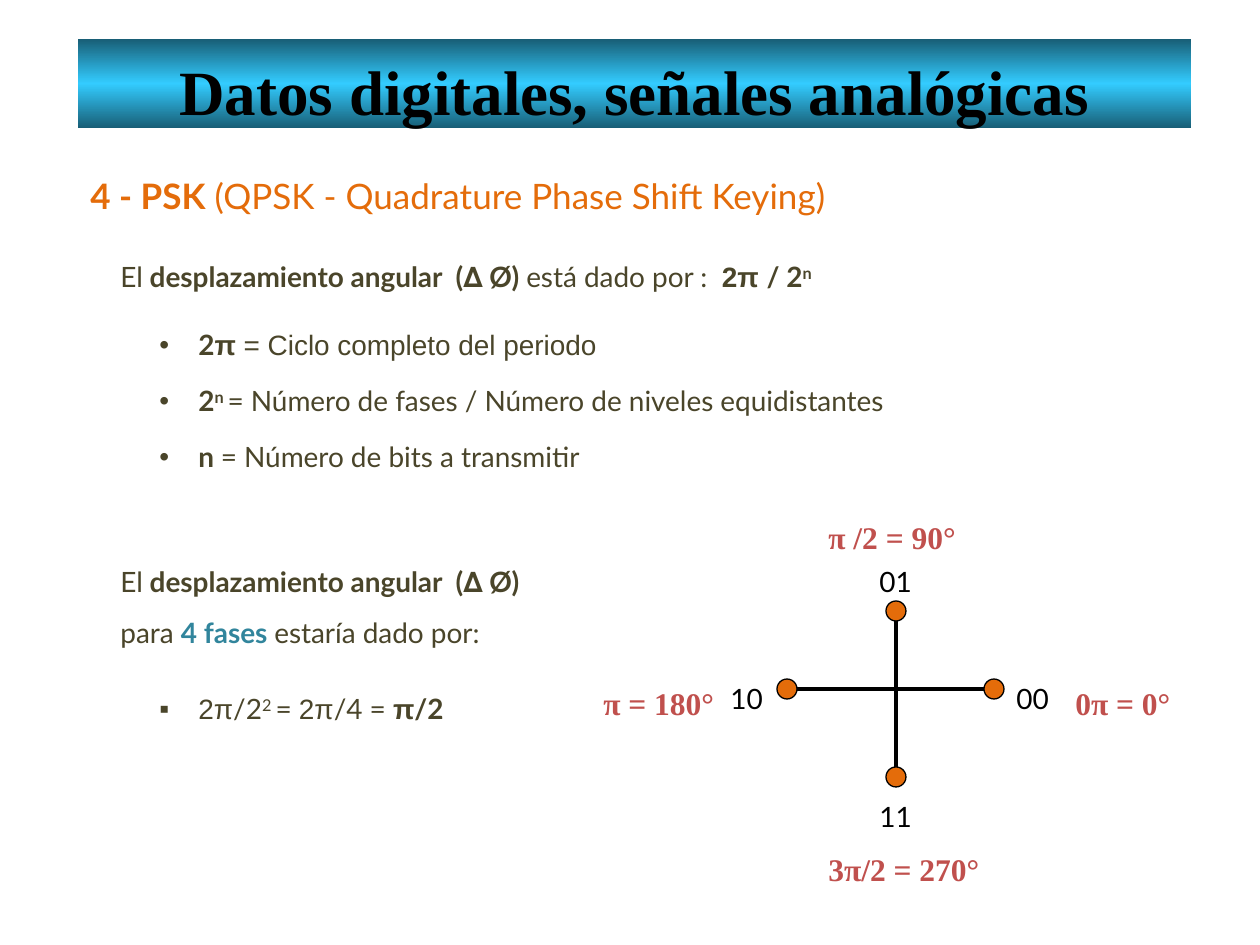
import copy

import pptx
import pptx.dml.color
import pptx.enum.dml
import pptx.enum.shapes
import pptx.enum.text
import pptx.oxml.ns
import pptx.util
from lxml import etree

PX = 914400 // 126
COLORS = {
    "edge": "185E76", "middle": "33CCFF", "black": "000000", "orange": "E46C0A",
    "olive": "4A452A", "teal": "31859C", "red": "C0504D",
}

TITLE = ("Datos digitales, señales analógicas", (78, 39, 1113, 89))

# span marks: b bold, a Arial, s superscript, t teal
TEXTS = [
    ((78, 147, 1023, 77), 20, "orange", None, [
        [("4 - PSK", "b"), (" (QPSK - Quadrature Phase Shift Keying)", "")],
    ]),
    ((108, 237, 867, 57), 16, "olive", None, [
        [("El", ""), (" desplazamiento angular  (∆ Ø) ", "b"), ("está dado por :  ", ""),
         ("2π ", "ab"), ("/ 2", "b"), ("n", "bs")],
    ]),
    ((147, 305, 886, 186), 16, "olive", "•", [
        [("2", "b"), ("π ", "ab"), ("= Ciclo completo del periodo", "a")],
        [("2", "b"), ("n ", "bs"), ("= Número de fases / Número de niveles equidistantes", "")],
        [("n ", "b"), ("= Número de bits a transmitir", "")],
    ]),
    ((108, 542, 473, 115), 16, "olive", None, [
        [("El", ""), (" desplazamiento angular  (∆ Ø)", "b"), (" para ", ""),
         ("4 fases ", "bt"), ("estaría dado por:", "")],
    ]),
    ((147, 669, 325, 69), 16, "olive", "▪", [
        [("2π", "a"), ("/2", ""), ("2 ", "s"), ("= ", ""), ("2π", "a"), ("/4 = ", ""),
         ("π", "ab"), ("/2", "b")],
    ]),
]

BITS = [("10", 718, 659), ("00", 1004, 659), ("01", 867, 542), ("11", 867, 777)]
ANGLES = [
    ("0π = 0°", 1063, 659, 129), ("π /2 = 90°", 816, 493, 158),
    ("π = 180°", 591, 659, 137), ("3π/2 = 270°", 816, 825, 186),
]
AXIS_X, AXIS_Y = 896, 689
LEFT, RIGHT, TOP, BOTTOM = 787, 994, 611, 777
RADIUS = 10


def color(name):
    return pptx.dml.color.RGBColor.from_string(COLORS[name])


def emu(*lengths):
    return [length * PX for length in lengths]


def add_bullet(para, mark):
    props = para._p.get_or_add_pPr()
    props.set("marL", str(39 * PX))
    props.set("indent", str(-39 * PX))
    for tag, key, value in (("a:buFont", "typeface", "Arial"), ("a:buChar", "char", mark)):
        etree.SubElement(props, pptx.oxml.ns.qn(tag)).set(key, value)


def add_text(page, place, size, ink, bullet, paragraphs, face="Lato", before=0):
    frame = page.shapes.add_textbox(*emu(*place)).text_frame
    frame.word_wrap = True
    for number, spans in enumerate(paragraphs):
        para = frame.add_paragraph() if number else frame.paragraphs[0]
        para.line_spacing = 1.5
        para.space_before = pptx.util.Pt(3.2 if bullet else before)
        if bullet:
            add_bullet(para, bullet)
        para.font.size = pptx.util.Pt(size)
        para.font.name = face
        para.font.color.rgb = color(ink)
        for text, marks in spans:
            span = para.add_run()
            span.text = text
            if "b" in marks:
                span.font.bold = True
            if "a" in marks:
                span.font.name = "Arial"
            if "t" in marks:
                span.font.color.rgb = color("teal")
            if "s" in marks:
                span._r.get_or_add_rPr().set("baseline", "30000")


def fill_title(title):
    text, place = TITLE
    title.left, title.top, title.width, title.height = emu(*place)
    title.fill.gradient()
    title.fill.gradient_angle = 90
    first, second = title.fill.gradient_stops
    first.color.rgb, first.position = color("edge"), 0
    second.color.rgb, second.position = color("middle"), 0.5
    stops = title._element.spPr.find(".//" + pptx.oxml.ns.qn("a:gsLst"))
    last = copy.deepcopy(stops[0])
    last.set("pos", "100000")
    stops.append(last)
    frame = title.text_frame
    frame.text = text
    frame.auto_size = pptx.enum.text.MSO_AUTO_SIZE.NONE
    frame.vertical_anchor = pptx.enum.text.MSO_ANCHOR.TOP
    frame.margin_top, frame.margin_bottom = emu(14, 0)
    para = frame.paragraphs[0]
    para.alignment = pptx.enum.text.PP_ALIGN.CENTER
    para.font.size = pptx.util.Pt(36)
    para.font.name = "Times New Roman"
    para.font.bold = True
    para.font.color.rgb = color("black")


def add_axis(page, *ends):
    line = page.shapes.add_connector(pptx.enum.shapes.MSO_CONNECTOR.STRAIGHT, *emu(*ends))
    line.line.color.rgb = color("black")
    line.line.width = pptx.util.Pt(2)
    etree.SubElement(line._element.spPr, pptx.oxml.ns.qn("a:effectLst"))


def add_dot(page, x, y):
    dot = page.shapes.add_shape(
        pptx.enum.shapes.MSO_SHAPE.OVAL,
        *emu(x - RADIUS, y - RADIUS, 2 * RADIUS, 2 * RADIUS))
    dot.shadow.inherit = False
    dot.fill.solid()
    dot.fill.fore_color.rgb = color("orange")
    dot.line.color.rgb = color("black")
    dot.line.width = pptx.util.Pt(0.75)


def main():
    deck = pptx.Presentation()
    deck.slide_width, deck.slide_height = emu(1260, 945)
    page = deck.slides.add_slide(deck.slide_layouts[5])
    fill_title(page.shapes.title)
    for block in TEXTS:
        add_text(page, *block)
    add_axis(page, LEFT - RADIUS, AXIS_Y, RIGHT + RADIUS, AXIS_Y)
    add_axis(page, AXIS_X, BOTTOM + RADIUS, AXIS_X, TOP - RADIUS)
    for x, y in ((LEFT, AXIS_Y), (RIGHT, AXIS_Y), (AXIS_X, TOP), (AXIS_X, BOTTOM)):
        add_dot(page, x, y)
    for text, left, top in BITS:
        add_text(page, (left, top, 69, 69), 16, "black", None, [[(text, "")]], before=3.2)
    for text, left, top, width in ANGLES:
        add_text(page, (left, top, width, 71), 18, "red", None, [[(text, "b")]], "Times New Roman")
    deck.save("out.pptx")


if __name__ == "__main__":
    main()
